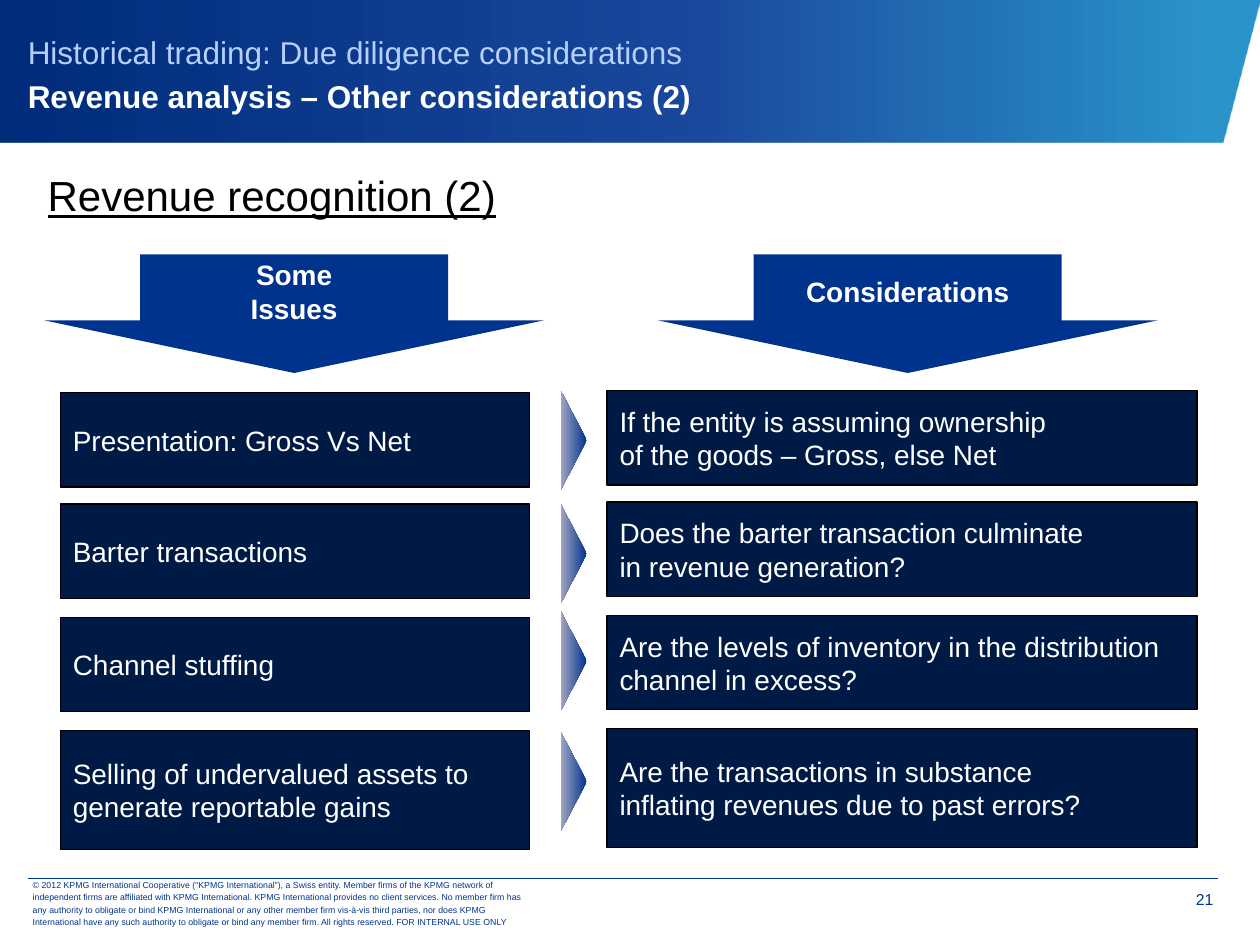
from lxml import etree
from pptx import Presentation
from pptx import util as u
from pptx.dml.color import RGBColor
from pptx.enum import shapes, text
from pptx.oxml import parse_xml
from pptx.oxml.ns import nsdecls, qn

Cm, Pt = u.Cm, u.Pt
COLORS = {"blue": "00338D", "navy": "001A46", "black": "000000", "white": "FFFFFF",
          "pale": "B5D0FF", "mist": "A4A7C1",
          "band_left": "002C7A", "band_mid": "003492", "band_right": "0080C0"}
rgb = {name: RGBColor.from_string(value) for name, value in COLORS.items()}


def write(tf, lines, size, color, bold=False, align=text.PP_ALIGN.LEFT):
    """Fill a text frame with one paragraph per line and return the paragraphs."""
    tf.word_wrap = True
    for i, line in enumerate(lines):
        p = tf.paragraphs[0] if i == 0 else tf.add_paragraph()
        p.alignment = align
        r = p.add_run()
        r.text = line
        r.font.name, r.font.size, r.font.bold = "Arial", Pt(size), bold
        r.font.color.rgb = rgb[color]
    return tf.paragraphs


def gradient(sp, stops, angle):
    """Borderless linear gradient; stops are (position %, colour, opacity %)."""
    gs = "".join(f'<a:gs pos="{pos * 1000}"><a:srgbClr val="{COLORS[name]}">'
                 f'<a:alpha val="{alpha * 1000}"/></a:srgbClr></a:gs>'
                 for pos, name, alpha in stops)
    fill = parse_xml(f'<a:gradFill rotWithShape="1" {nsdecls("a")}><a:gsLst>{gs}</a:gsLst>'
                     f'<a:lin ang="{angle * 60000}" scaled="0"/></a:gradFill>')
    geometry = [e for e in sp._element.spPr if e.tag in (qn("a:prstGeom"), qn("a:custGeom"))]
    geometry[0].addnext(fill)
    sp.line.fill.background()
    sp.shadow.inherit = False


prs = Presentation()
prs.slide_width, prs.slide_height = Cm(25.4), Cm(19.05)
s = prs.slides.add_slide(prs.slide_layouts[5])

# Header band
builder = s.shapes.build_freeform(Cm(0), Cm(0))
builder.add_line_segments([(Cm(25.4), Cm(0)), (Cm(24.64), Cm(2.87)), (Cm(0), Cm(2.87))])
band = builder.convert_to_shape()
gradient(band, [(0, "band_left", 100), (56, "band_mid", 89), (96, "band_right", 83)], 0)

# Title, in front of the band
title = s.shapes.title
title.left, title.top, title.width, title.height = Cm(0.56), Cm(0.33), Cm(23.75), Cm(2.21)
band._element.addnext(title._element)
tf = title.text_frame
tf.auto_size = text.MSO_AUTO_SIZE.NONE
tf.vertical_anchor = text.MSO_ANCHOR.MIDDLE
tf.margin_left = tf.margin_top = tf.margin_right = tf.margin_bottom = 0
p = write(tf, ["Historical trading: Due diligence considerations"], 18, "pale")[0]
p.line_spacing = Pt(25)
p.add_line_break()
r = p.add_run()
r.text = "Revenue analysis – Other considerations (2)"
r.font.name, r.font.size, r.font.bold = "Arial", Pt(18), True
r.font.color.rgb = rgb["white"]

# Section heading
sp = s.shapes.add_textbox(Cm(0.71), Cm(3.3), Cm(10.16), Cm(1.27))
p = write(sp.text_frame, ["Revenue recognition (2)"], 24, "black")[0]
p.runs[0].font.underline = True

# Column arrows
for left, lines in [(0.89, ["Some", "Issues"]), (13.26, ["Considerations"])]:
    sp = s.shapes.add_shape(shapes.MSO_SHAPE.DOWN_ARROW,
                            Cm(left), Cm(5.13), Cm(10.08), Cm(2.39))
    sp.adjustments[0], sp.adjustments[1] = 0.616, 0.444
    sp.fill.solid()
    sp.fill.fore_color.rgb = rgb["blue"]
    sp.line.fill.background()
    sp.shadow.inherit = False
    sp.text_frame.vertical_anchor = text.MSO_ANCHOR.MIDDLE
    sp.text_frame.margin_bottom = Cm(0.38)
    write(sp.text_frame, lines, 16, "white", True, text.PP_ALIGN.CENTER)

# Rows: box top, box height, pointer top, issue, consideration
rows = [
    (7.92, 1.9, 8.61, ["Presentation: Gross Vs Net"],
     ["If the entity is assuming ownership", "of the goods – Gross, else Net"]),
    (10.16, 1.9, 10.9, ["Barter transactions"],
     ["Does the barter transaction culminate", "in revenue generation?"]),
    (12.45, 1.9, 13.06, ["Channel stuffing"],
     ["Are the levels of inventory in the distribution", "channel in excess?"]),
    (14.73, 2.39, 15.49, ["Selling of undervalued assets to", "generate reportable gains"],
     ["Are the transactions in substance", "inflating revenues due to past errors?"]),
]
for top, height, pointer_top, issue, consideration in rows:
    for left, y, width, lines in [(1.22, top, 9.45, issue),
                                  (12.24, top - 0.04, 11.89, consideration)]:
        sp = s.shapes.add_shape(shapes.MSO_SHAPE.RECTANGLE,
                                Cm(left), Cm(y), Cm(width), Cm(height))
        sp.fill.solid()
        sp.fill.fore_color.rgb = rgb["navy"]
        sp.line.color.rgb = rgb["black"]
        sp.line.width = Pt(0.75)
        sp.shadow.inherit = False
        sp.text_frame.vertical_anchor = text.MSO_ANCHOR.MIDDLE
        write(sp.text_frame, lines, 16, "white")
    pointer = s.shapes.add_shape(shapes.MSO_SHAPE.ISOSCELES_TRIANGLE,
                                 Cm(10.56), Cm(pointer_top), Cm(2.01), Cm(0.53))
    pointer.rotation = 90
    gradient(pointer, [(0, "blue", 100), (100, "mist", 100)], 90)

# Footer: rule, copyright and page number
rule = s.shapes.add_connector(shapes.MSO_CONNECTOR.STRAIGHT,
                              Cm(0.56), Cm(17.7), Cm(24.56), Cm(17.7))
rule.line.color.rgb = rgb["blue"]
rule.line.width = Pt(0.25)
etree.SubElement(rule._element.spPr, qn("a:effectLst"))

sp = s.shapes.add_textbox(Cm(0.41), Cm(17.75), Cm(10.54), Cm(0.89))
sp.text_frame.vertical_anchor = text.MSO_ANCHOR.MIDDLE
p = write(sp.text_frame, [
    "© 2012 KPMG International Cooperative (“KPMG International”), a Swiss entity. "
    "Member firms of the KPMG network of independent firms are affiliated with KPMG "
    "International. KPMG International provides no client services. No member firm has any "
    "authority to obligate or bind KPMG International or any other member firm vis-à-vis "
    "third parties, nor does KPMG International have any such authority to obligate or bind "
    "any member firm. All rights reserved. FOR INTERNAL USE ONLY"], 5, "blue")[0]
p.line_spacing = Pt(7)

sp = s.shapes.add_textbox(Cm(23.06), Cm(17.73), Cm(1.4), Cm(0.79))
tf = sp.text_frame
tf.margin_left = tf.margin_top = Cm(0.2)
tf.margin_right = tf.margin_bottom = 0
write(tf, ["21"], 9, "blue", align=text.PP_ALIGN.RIGHT)

prs.save("out.pptx")
